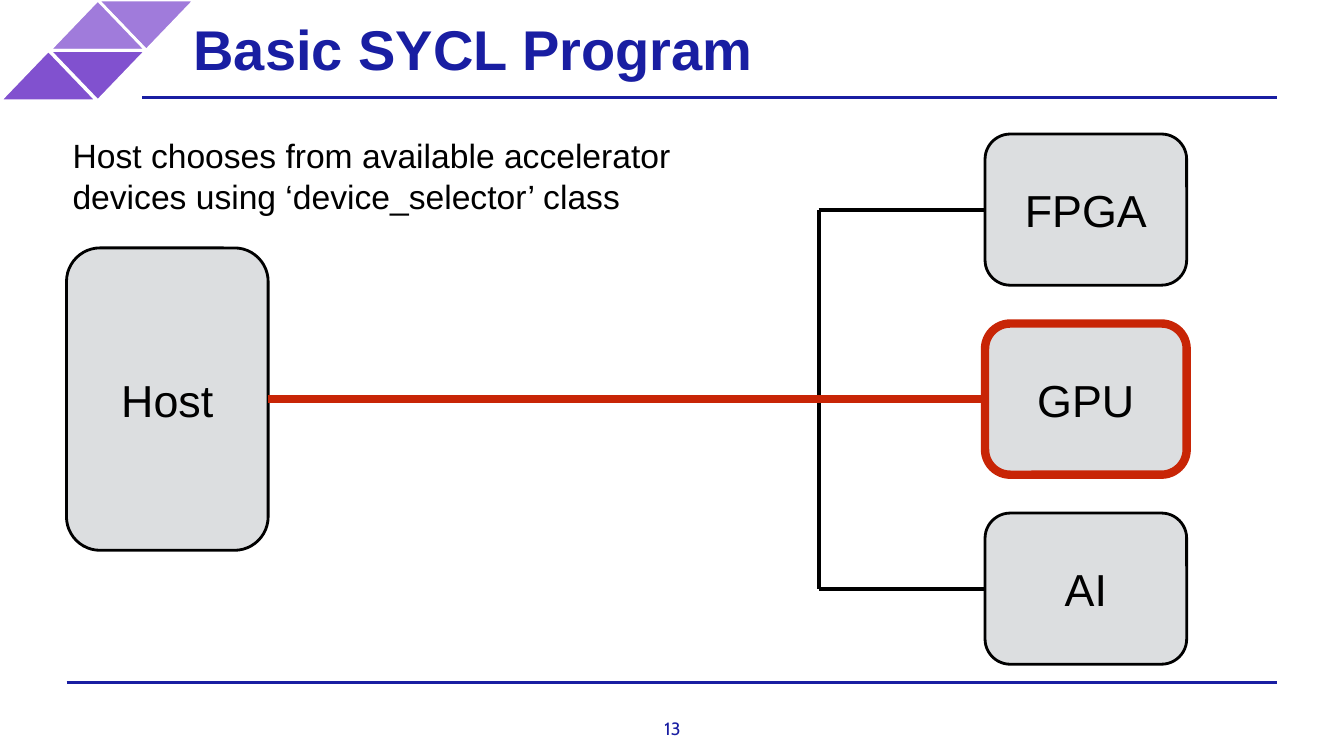
import pptx
import pptx.util
import pptx.dml.color
import pptx.enum.shapes
import pptx.enum.text
import pptx.oxml.ns
import lxml.etree

Inches, Pt = pptx.util.Inches, pptx.util.Pt
SHAPES = pptx.enum.shapes.MSO_SHAPE
ALIGN = pptx.enum.text.PP_ALIGN
MIDDLE = pptx.enum.text.MSO_ANCHOR.MIDDLE

TITLE = "Basic SYCL Program"
CAPTION = "Host chooses from available accelerator devices using ‘device_selector’ class"
PAGE_NUMBER = "13"
HOST = "Host"
DEVICES = ["FPGA", "GPU", "AI"]
SELECTED = "GPU"

COLORS = {
    "navy": "191EA2",
    "light purple": "A07BDB",
    "purple": "8151CF",
    "white": "FFFFFF",
    "gray": "DCDEE0",
    "black": "000000",
    "red": "C82506",
}

# left, top, turn in degrees, color
TRIANGLES = [
    (0.97, 0, 180, "light purple"),
    (0.49, 0, 0, "light purple"),
    (0.49, 0.5, 180, "purple"),
    (0, 0.5, 0, "purple"),
]
RULES = [(0.66, 6.77), (1.41, 0.97)]  # left, top
RULE_END = 12.67

BOX_WIDTH = 2
HOST_LEFT, HOST_HEIGHT = 0.66, 3
DEVICE_LEFT, DEVICE_HEIGHT, DEVICE_PITCH = 9.77, 1.5, 1.88
CENTER_Y = 3.96
TRUNK_X = 8.12
LEFT_SIDE, RIGHT_SIDE = 1, 3


def color(name):
    return pptx.dml.color.RGBColor.from_string(COLORS[name])


def write(shape, text, size, font="Arial", ink="black", bold=False,
          align=ALIGN.LEFT, anchor=MIDDLE, inset=0.06):
    frame = shape.text_frame
    frame.word_wrap = True
    frame.vertical_anchor = anchor
    frame.margin_left = frame.margin_right = Inches(inset)
    frame.margin_top = frame.margin_bottom = Inches(inset)
    para = frame.paragraphs[0]
    para.alignment = align
    span = para.add_run()
    span.text = text
    span.font.size = Pt(size)
    span.font.name = font
    span.font.bold = bold
    span.font.color.rgb = color(ink)


def add_filled(page, kind, left, top, width, height, fill, line, weight=2):
    shape = page.shapes.add_shape(
        kind, Inches(left), Inches(top), Inches(width), Inches(height))
    shape.shadow.inherit = False
    shape.fill.solid()
    shape.fill.fore_color.rgb = color(fill)
    shape.line.color.rgb = color(line)
    shape.line.width = Pt(weight)
    return shape


def add_node(page, text, left, center_y, height, line="black", weight=2):
    """Add a labelled rounded box centred on center_y."""
    box = add_filled(page, SHAPES.ROUNDED_RECTANGLE, left, center_y - height / 2,
                     BOX_WIDTH, height, "gray", line, weight)
    write(box, text, 32, align=ALIGN.CENTER)
    return box


def add_line(page, x1, y1, x2, y2, ink, weight):
    line = page.shapes.add_connector(
        pptx.enum.shapes.MSO_CONNECTOR.STRAIGHT,
        Inches(x1), Inches(y1), Inches(x2), Inches(y2))
    line.line.color.rgb = color(ink)
    line.line.width = Pt(weight)
    lxml.etree.SubElement(line._element.spPr, pptx.oxml.ns.qn("a:effectLst"))
    return line


def add_text(page, left, top, width, height, text, size, **style):
    box = page.shapes.add_textbox(
        Inches(left), Inches(top), Inches(width), Inches(height))
    write(box, text, size, **style)


def add_frame(page):
    """Add the title, corner triangles, rules and page number."""
    for left, top, turn, fill in TRIANGLES:
        triangle = add_filled(page, SHAPES.ISOSCELES_TRIANGLE, left, top,
                              0.96, 0.5, fill, "white")
        triangle.rotation = turn
    for left, top in RULES:
        add_line(page, left, top, RULE_END, top, "navy", 2)
    title = page.shapes.title
    title.left, title.top = Inches(1.78), Inches(0)
    title.width, title.height = Inches(7.99), Inches(0.95)
    write(title, TITLE, 40, ink="navy", bold=True, inset=0.14)
    add_text(page, 6.47, 7.12, 0.4, 0.21, PAGE_NUMBER, 12.7, font="Cabin",
             ink="navy", align=ALIGN.CENTER, inset=0,
             anchor=pptx.enum.text.MSO_ANCHOR.TOP)


def add_diagram(page):
    host = add_node(page, HOST, HOST_LEFT, CENTER_Y, HOST_HEIGHT)
    middle = (len(DEVICES) - 1) / 2
    centers = [CENTER_Y + (index - middle) * DEVICE_PITCH
               for index in range(len(DEVICES))]
    add_line(page, TRUNK_X, centers[0], TRUNK_X, centers[-1], "black", 3)
    for name, center_y in zip(DEVICES, centers):
        if name == SELECTED:
            device = add_node(page, name, DEVICE_LEFT, center_y, DEVICE_HEIGHT,
                              line="red", weight=6)
            link = add_line(page, HOST_LEFT + BOX_WIDTH, CENTER_Y,
                            DEVICE_LEFT, center_y, "red", 6)
            link.begin_connect(host, RIGHT_SIDE)
        else:
            device = add_node(page, name, DEVICE_LEFT, center_y, DEVICE_HEIGHT)
            link = add_line(page, TRUNK_X, center_y,
                            DEVICE_LEFT, center_y, "black", 3)
        link.end_connect(device, LEFT_SIDE)


def main():
    deck = pptx.Presentation()
    deck.slide_width, deck.slide_height = Inches(13.33), Inches(7.5)
    page = deck.slides.add_slide(deck.slide_layouts.get_by_name("Title Only"))
    add_frame(page)
    add_text(page, 0.66, 1.28, 6.05, 0.92, CAPTION, 24)
    add_diagram(page)
    deck.save("out.pptx")


if __name__ == "__main__":
    main()
